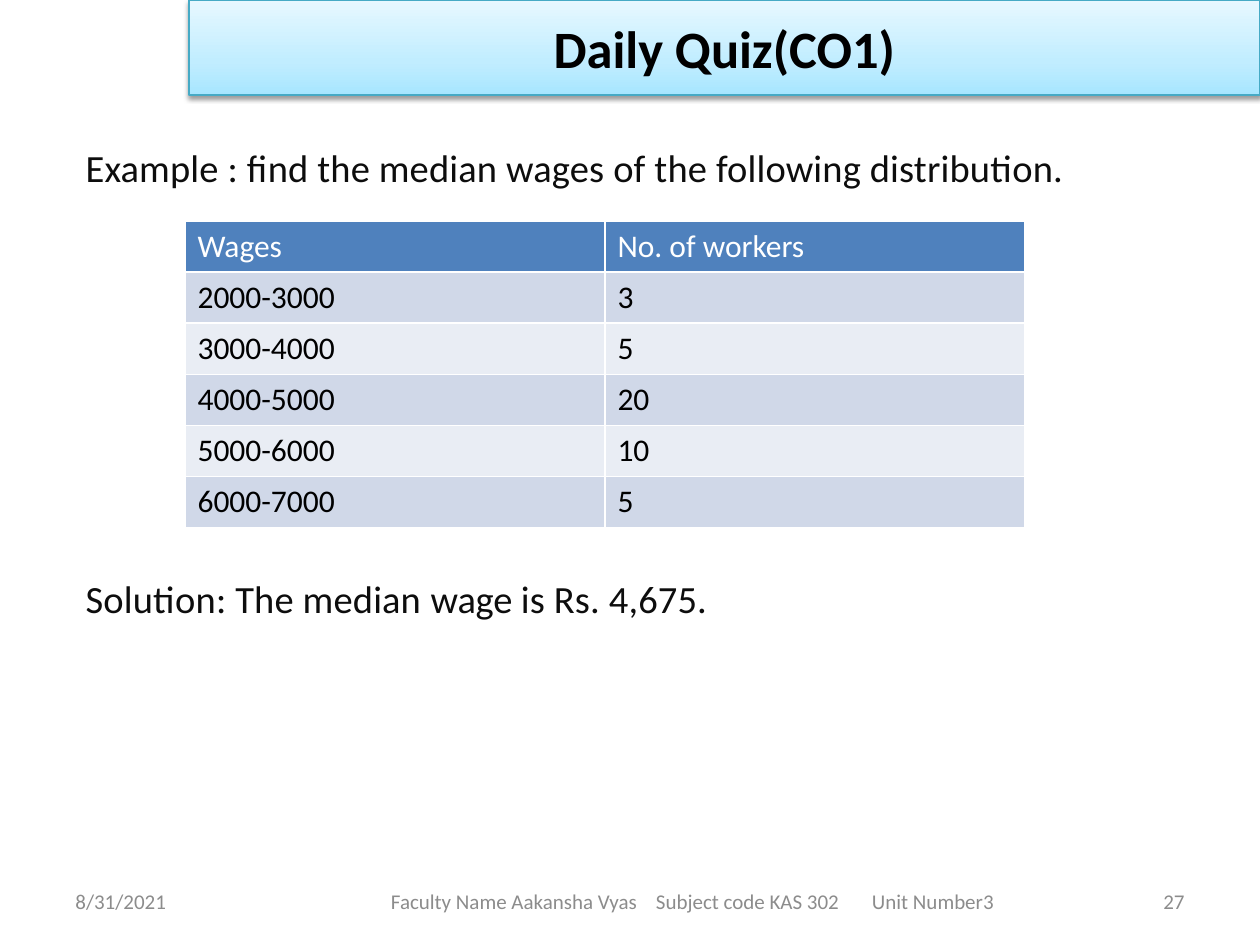
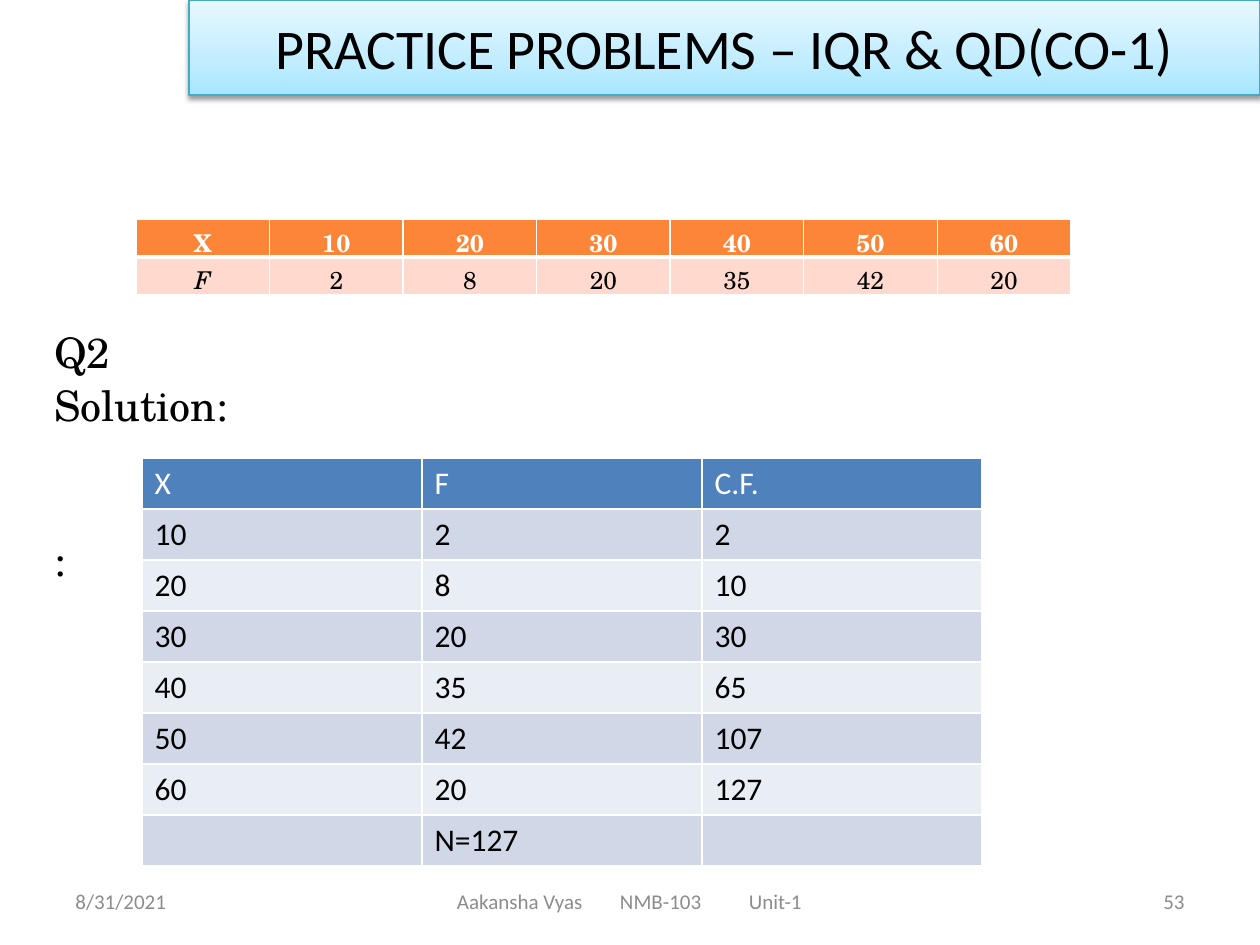
from dataclasses import dataclass

from lxml import etree
from pptx import Presentation
from pptx.dml.color import RGBColor
from pptx.enum.text import MSO_ANCHOR, MSO_AUTO_SIZE, PP_ALIGN
from pptx.oxml.ns import qn
from pptx.util import Pt

LEFT, CENTER, RIGHT = PP_ALIGN.LEFT, PP_ALIGN.CENTER, PP_ALIGN.RIGHT
MIDDLE = MSO_ANCHOR.MIDDLE
NO_FIT = MSO_AUTO_SIZE.NONE
EMU_PER_PX = 914400 / 126
TITLE_ONLY, TITLE_AND_BODY = 5, 1


@dataclass(frozen=True)
class Theme:
    sans: str = "Calibri"
    serif: str = "TeX Gyre Schola"
    black: str = "000000"
    white: str = "FFFFFF"
    ink: str = "0D0D0D"
    muted: str = "8C8C8C"
    band_line: str = "46AAC5"
    band_stops: tuple = ((0, "A7E6FF"), (35, "C1EDFF"), (100, "E7F8FF"))
    blue: tuple = ("4F81BD", "D0D8E8", "E9EDF4")
    orange: tuple = ("FD8537", "FFD9CE")
    footer_size: int = 12
    series_size: int = 14
    table_size: int = 18
    body_size: int = 22
    answer_size: int = 24


THEME = Theme()


def px(length):
    return round(length * EMU_PER_PX)


def place(shape, left, top, width, height):
    shape.left, shape.top = px(left), px(top)
    shape.width, shape.height = px(width), px(height)


def child(parent, tag, **attributes):
    return etree.SubElement(parent, qn(tag), {key: str(value) for key, value in attributes.items()})


def add_span(para, text, size, color, font=THEME.sans, bold=False, italic=False, spacing=0):
    span = para.add_run()
    span.text = text
    span.font.name = font
    span.font.size = Pt(size)
    span.font.bold = bold
    span.font.italic = italic
    span.font.color.rgb = RGBColor.from_string(color)
    if spacing:
        span._r.get_or_add_rPr().set("spc", str(spacing))
    return span


def add_box(slide, left, top, width, height):
    box = slide.shapes.add_textbox(px(left), px(top), px(width), px(height))
    box.text_frame.word_wrap = True
    return box.text_frame


def next_para(frame, index):
    return frame.add_paragraph() if index else frame.paragraphs[0]


def style_band(band):
    properties = band._element.spPr
    gradient = child(properties, "a:gradFill", rotWithShape=1)
    stops = child(gradient, "a:gsLst")
    for position, color in THEME.band_stops:
        stop = child(stops, "a:gs", pos=position * 1000)
        child(stop, "a:srgbClr", val=color)
    child(gradient, "a:lin", ang=270 * 60000, scaled=0)
    band.line.color.rgb = RGBColor.from_string(THEME.band_line)
    band.line.width = Pt(0.75)
    effects = child(properties, "a:effectLst")
    shadow = child(effects, "a:outerShdw", blurRad=Pt(3.1), dist=Pt(1.6), dir=90 * 60000, rotWithShape=0)
    shade = child(shadow, "a:srgbClr", val=THEME.black)
    child(shade, "a:alpha", val=38000)


def set_title(slide, spans, size, bold=False):
    title = slide.shapes.title
    place(title, 189, 0, 1071, 95)
    style_band(title)
    frame = title.text_frame
    frame.auto_size = NO_FIT
    frame.vertical_anchor = MIDDLE
    para = frame.paragraphs[0]
    para.alignment = CENTER
    for text, spacing in spans:
        add_span(para, text, size, THEME.black, bold=bold, spacing=spacing)


def set_body(slide, paragraphs):
    body = slide.placeholders[1]
    place(body, 73, 158, 1134, 624)
    frame = body.text_frame
    frame.auto_size = NO_FIT
    for index, (gap, spans) in enumerate(paragraphs):
        para = next_para(frame, index)
        para.line_spacing = Pt(14.5)
        para.space_before = Pt(gap)
        properties = para._p.get_or_add_pPr()
        properties.set("marL", "0")
        properties.set("indent", "0")
        child(properties, "a:buNone")
        for text, spacing in spans:
            add_span(para, text, THEME.body_size, THEME.ink, spacing=spacing)


def add_footer_text(slide, text, left, width, align=LEFT):
    frame = add_box(slide, left, 876, width, 50)
    frame.vertical_anchor = MIDDLE
    para = frame.paragraphs[0]
    para.alignment = align
    add_span(para, text, THEME.footer_size, THEME.muted)
    return frame


def add_footer(slide, left, width, parts, number):
    add_footer_text(slide, "8/31/2021", 63, 294)
    add_footer_text(slide, number, 903, 294, RIGHT)
    frame = add_footer_text(slide, "\t".join(text for text, _ in parts), left, width)
    start = parts[0][1]
    frame.margin_left = px(start - left)
    tabs = child(frame.paragraphs[0]._p.get_or_add_pPr(), "a:tabLst")
    for _, stop in parts[1:]:
        child(tabs, "a:tab", pos=px(stop - start), algn="l")


def set_borders(cell, top, bottom):
    properties = cell._tc.get_or_add_tcPr()
    for side, width in (("L", 1), ("R", 1), ("T", top), ("B", bottom)):
        line = child(properties, f"a:ln{side}", w=Pt(width))
        fill = child(line, "a:solidFill")
        child(fill, "a:srgbClr", val=THEME.white)


def add_grid(slide, left, top, width, row_height, rows, colors, write_cell, divider=1):
    count = len(rows[0])
    frame = slide.shapes.add_table(len(rows), count, px(left), px(top), px(width), px(row_height * len(rows)))
    table = frame.table
    for column in table.columns:
        column.width = px(width / count)
    header, *bands = colors
    for row_index, values in enumerate(rows):
        table.rows[row_index].height = px(row_height)
        color = bands[(row_index - 1) % len(bands)] if row_index else header
        for column_index, value in enumerate(values):
            cell = table.cell(row_index, column_index)
            set_borders(cell, divider if row_index == 1 else 1, divider if row_index == 0 else 1)
            cell.fill.solid()
            cell.fill.fore_color.rgb = RGBColor.from_string(color)
            if value:
                write_cell(cell, value, row_index == 0)


def write_plain_cell(cell, value, is_header):
    color = THEME.white if is_header else THEME.black
    add_span(cell.text_frame.paragraphs[0], value, THEME.table_size, color)


def write_series_cell(cell, value, is_header):
    cell.margin_left = cell.margin_right = cell.margin_bottom = 0
    cell.margin_top = px(5)
    para = cell.text_frame.paragraphs[0]
    para.alignment = CENTER
    para.space_before = Pt(3.5)
    color = THEME.white if is_header else THEME.black
    add_span(para, value, THEME.series_size, color, THEME.serif, bold=is_header, italic=value == "F")


def add_answer(slide, paragraphs):
    frame = add_box(slide, 54, 325, 1017, 263)
    frame.margin_left = frame.margin_right = frame.margin_bottom = 0
    frame.margin_top = px(2)
    for index, (gap, text) in enumerate(paragraphs):
        para = next_para(frame, index)
        para.space_before = Pt(gap)
        add_span(para, text, THEME.answer_size, THEME.black, THEME.serif)


def build_quiz(deck):
    slide = deck.slides.add_slide(deck.slide_layouts[TITLE_AND_BODY])
    set_title(slide, [("Daily Quiz(CO1)", 0)], 30, bold=True)
    set_body(slide, [
        (0, [("Example : find the median wages of the following distribution.", 10)]),
        (232, [("Solution: The median ", 10), ("wage ", -10), ("is Rs. 4,675.", 10)]),
    ])
    wages = [
        ("Wages", "No. of workers"),
        ("2000-3000", "3"),
        ("3000-4000", "5"),
        ("4000-5000", "20"),
        ("5000-6000", "10"),
        ("6000-7000", "5"),
    ]
    add_grid(slide, 185, 221, 840, 51, wages, THEME.blue, write_plain_cell)
    parts = [("Faculty Name Aakansha Vyas", 391), ("Subject code KAS 302", 656), ("Unit Number3", 872)]
    add_footer(slide, 346, 693, parts, "27")


def build_practice(deck):
    slide = deck.slides.add_slide(deck.slide_layouts[TITLE_ONLY])
    set_title(slide, [("PRACTICE PROBLEMS ", -10), ("– ", 0), ("IQR ", -10), ("& QD(CO-1)", 0)], 32)
    add_answer(slide, [(0, "Q2"), (1, "Solution:"), (60, ":")])
    values = ("10", "20", "30", "40", "50", "60")
    frequencies = ("2", "8", "20", "35", "42", "20")
    cumulative = ("2", "10", "30", "65", "107", "127")
    series = [("X", *values), ("F", *frequencies)]
    add_grid(slide, 136, 219, 935, 38, series, THEME.orange, write_series_cell, divider=3)
    totals = [("X", "F", "C.F."), *zip(values, frequencies, cumulative), ("", "N=127", "")]
    add_grid(slide, 142, 458, 840, 51, totals, THEME.blue, write_plain_cell)
    add_footer(slide, 431, 399, [("Aakansha Vyas", 457), ("NMB-103", 620), ("Unit-1", 749)], "53")


def main():
    deck = Presentation()
    deck.slide_width, deck.slide_height = px(1260), px(945)
    build_quiz(deck)
    build_practice(deck)
    deck.save("out.pptx")


if __name__ == "__main__":
    main()
